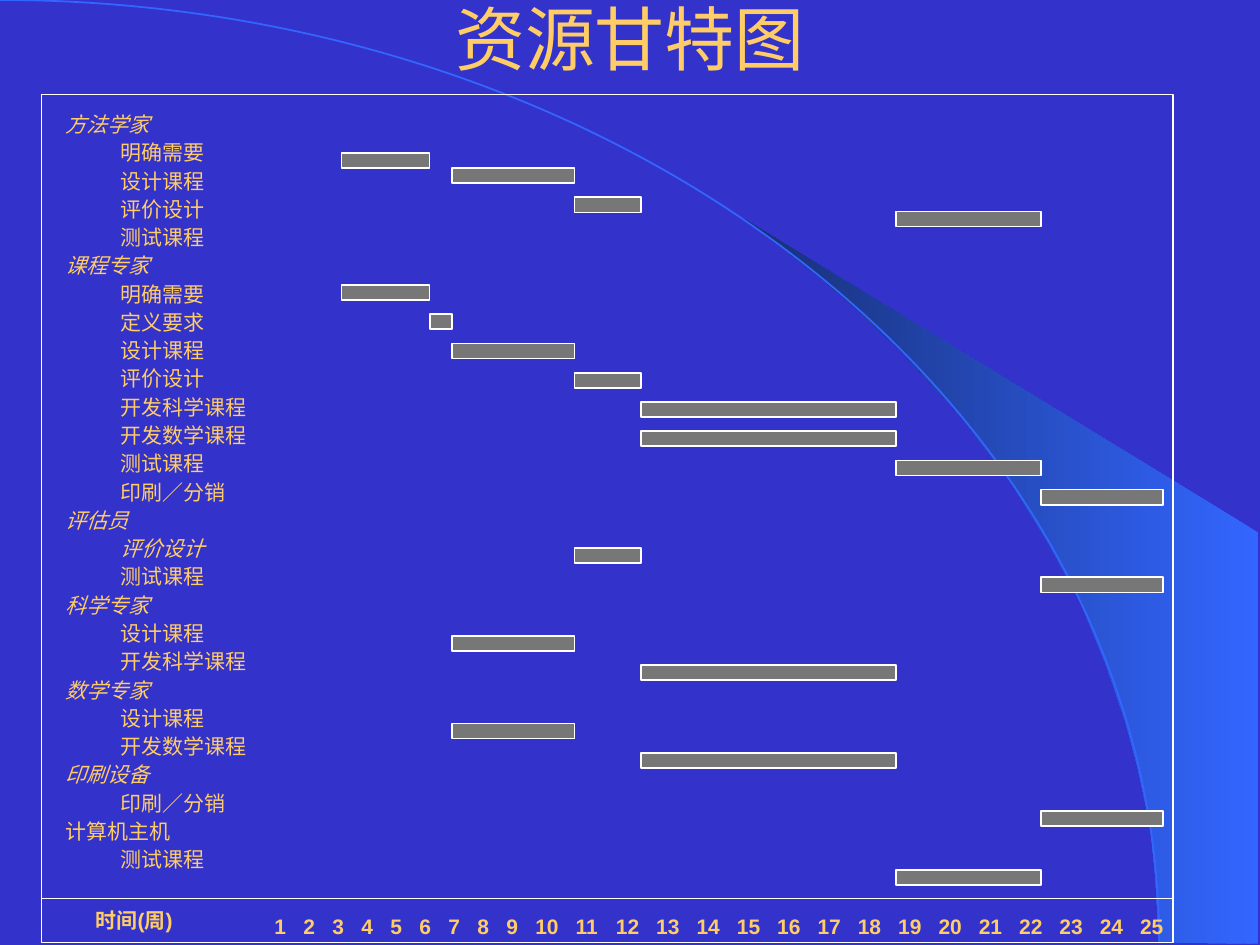
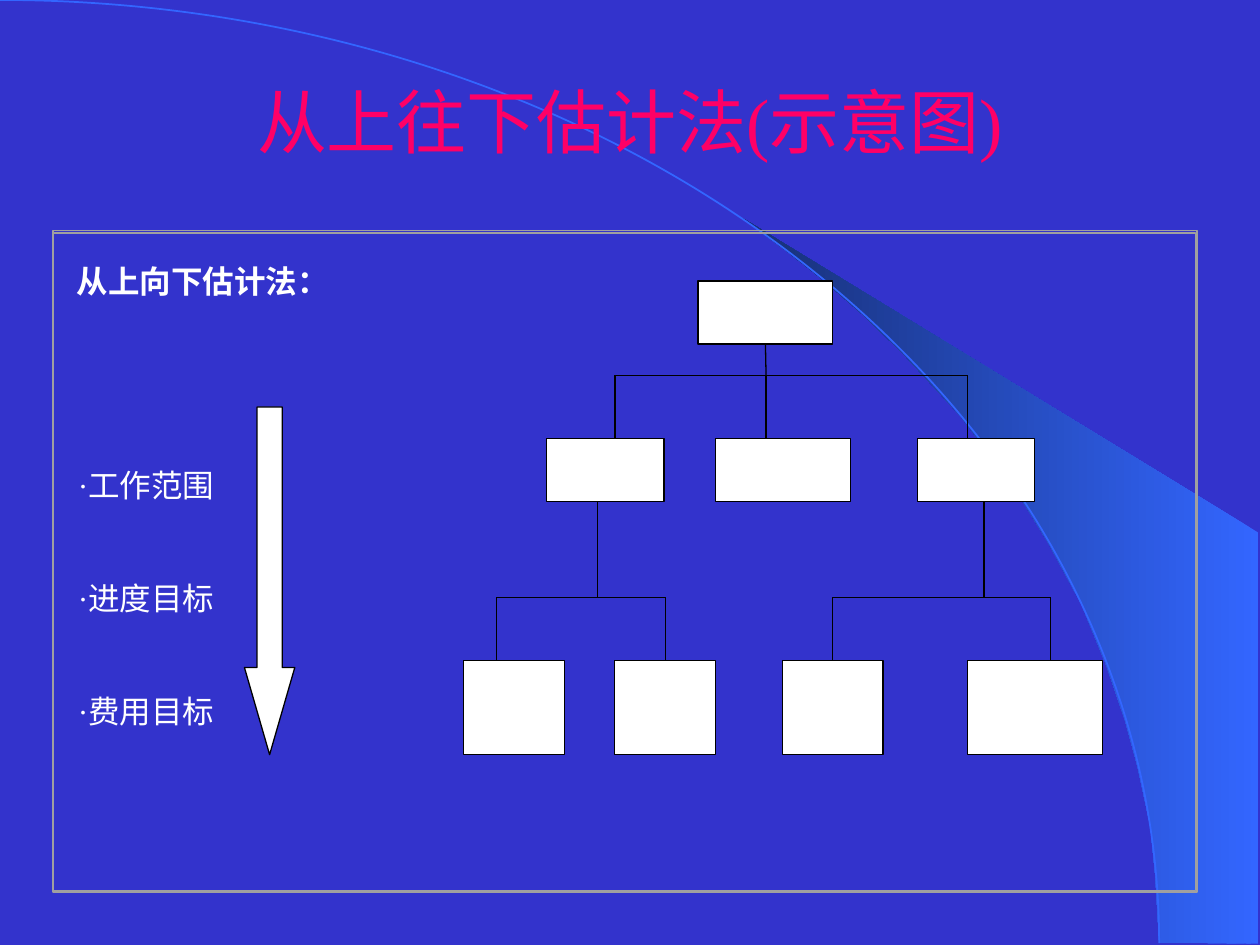
from lxml import etree
from pptx import Presentation
from pptx.dml.color import RGBColor
from pptx.enum.shapes import MSO_CONNECTOR, MSO_SHAPE
from pptx.enum.text import MSO_ANCHOR, PP_ALIGN
from pptx.oxml.ns import qn
from pptx.util import Inches, Pt

NAVY = RGBColor(0x33, 0x33, 0xCC)
BLUE = RGBColor(0x33, 0x66, 0xFF)
DARK_BLUE = RGBColor(0x17, 0x2F, 0x75)
GOLD = RGBColor(0xFF, 0xCC, 0x66)
PINK = RGBColor(0xFF, 0x00, 0x66)
WHITE = RGBColor(0xFF, 0xFF, 0xFF)
BLACK = RGBColor(0x00, 0x00, 0x00)
BAR_GRAY = RGBColor(0x77, 0x77, 0x77)
FRAME_GRAY = RGBColor(0xA0, 0xA0, 0xA0)

# Shared backdrop
FLARE = [(9.2, 7.48), (9.99, 7.49), (9.99, 4.23), (5.89, 1.73), (6.24, 1.99),
         (6.53, 2.22), (6.85, 2.5), (7.16, 2.8), (7.62, 3.3), (8.03, 3.84),
         (8.32, 4.31), (8.58, 4.79), (8.78, 5.28), (8.93, 5.72), (9.03, 6.09),
         (9.13, 6.56), (9.17, 6.96)]
ARC_BOX = (-9.2, 0, 18.4, 14.97)

# Gantt chart
GANTT_TITLE = "资源甘特图"
TIME_LABEL = "时间(周)"
WEEKS = range(1, 26)
RESOURCES = [
    ("方法学家", ["明确需要", "设计课程", "评价设计", "测试课程"]),
    ("课程专家", ["明确需要", "定义要求", "设计课程", "评价设计",
              "开发科学课程", "开发数学课程", "测试课程", "印刷／分销"]),
    ("评估员", ["评价设计", "测试课程"]),
    ("科学专家", ["设计课程", "开发科学课程"]),
    ("数学专家", ["设计课程", "开发数学课程"]),
    ("印刷设备", ["印刷／分销"]),
    ("计算机主机", ["测试课程"]),
]
UPRIGHT_RESOURCES = {"计算机主机"}
ITALIC_TASKS = {("评估员", "评价设计")}
TASK_SPANS = {  # left, width
    "明确需要": (2.71, 0.7), "定义要求": (3.41, 0.18), "设计课程": (3.59, 0.97),
    "评价设计": (4.56, 0.53), "开发科学课程": (5.09, 2.02), "开发数学课程": (5.09, 2.02),
    "测试课程": (7.11, 1.15), "印刷／分销": (8.26, 0.97),
}
LATE_SPANS = {("评估员", "测试课程"): TASK_SPANS["印刷／分销"]}
BAR_SHIFTS = {("方法学家", "明确需要"): 0.11, ("方法学家", "测试课程"): -0.12}
FIRST_BAR_TOP, BAR_PITCH, BAR_HEIGHT = 0.87, 0.232, 0.12
DIGIT_PITCH, TWO_DIGIT_PITCH = 0.23, 0.32
GANTT_FRAME = (0.33, 0.75, 8.98, 6.73)
AXIS_TOP = 7.13

# Top-down estimate
ESTIMATE_TITLE = "从上往下估计法(示意图)"
ESTIMATE_HEADING = "从上向下估计法："
GOALS = ["·工作范围", "·进度目标", "·费用目标"]
ESTIMATE_FRAMES = [((0.42, 1.85, 9.07, 5.22), 0), ((0.42, 1.83, 9.08, 5.25), 0.75)]
ARROW_BOX = (1.94, 3.23, 0.4, 2.76)
TREE_BOXES = {
    "root": (5.54, 2.23, 1.07, 0.5),
    "left": (4.34, 3.48, 0.93, 0.5),
    "middle": (5.68, 3.48, 1.07, 0.5),
    "right": (7.28, 3.48, 0.93, 0.5),
    "left 1": (3.68, 5.24, 0.8, 0.75),
    "left 2": (4.88, 5.24, 0.8, 0.75),
    "right 1": (6.21, 5.24, 0.8, 0.75),
    "right 2": (7.68, 5.24, 1.07, 0.75),
}
TREE_BRANCHES = [  # parent, stem x, crossbar y, {child: drop x}
    ("root", 6.08, 2.98, {"left": 4.88, "middle": 6.08, "right": 7.68}),
    ("left", 4.74, 4.74, {"left 1": 3.94, "left 2": 5.28}),
    ("right", 7.81, 4.74, {"right 1": 6.61, "right 2": 8.34}),
]


def inches(values):
    return [Inches(value) for value in values]


def add_box(slide, box, fill=None, line=None, width=1.0, kind=MSO_SHAPE.RECTANGLE):
    shape = slide.shapes.add_shape(kind, *inches(box))
    shape.shadow.inherit = False
    if fill is None:
        shape.fill.background()
    else:
        shape.fill.solid()
        shape.fill.fore_color.rgb = fill
    shape.line.color.rgb = line
    shape.line.width = Pt(width)
    return shape


def add_line(slide, start, end, color, width):
    line = slide.shapes.add_connector(MSO_CONNECTOR.STRAIGHT, *inches(start + end))
    line.line.color.rgb = color
    line.line.width = Pt(width)
    properties = line._element.find(qn("p:spPr"))
    etree.SubElement(properties, qn("a:effectLst"))
    return line


def add_text(slide, box, lines, font, anchor=MSO_ANCHOR.TOP, paragraph_format=None,
             space_before=0, margin_top=0.05):
    """Add one paragraph for each line and return the paragraphs."""
    frame = slide.shapes.add_textbox(*inches(box)).text_frame
    frame.word_wrap = True
    frame.vertical_anchor = anchor
    frame.margin_top = Inches(margin_top)
    for index, text in enumerate(lines):
        paragraph = frame.add_paragraph() if index else frame.paragraphs[0]
        run = paragraph.add_run()
        run.text = text
        if index:
            paragraph.space_before = Pt(space_before)
        for name, value in (paragraph_format or {}).items():
            setattr(paragraph, name, value)
        for name, value in font.items():
            if name == "color":
                run.font.color.rgb = value
            else:
                setattr(run.font, name, value)
    return frame.paragraphs


def add_tab_stops(paragraph, positions):
    tab_list = etree.SubElement(paragraph._p.get_or_add_pPr(), qn("a:tabLst"))
    for position in positions:
        etree.SubElement(tab_list, qn("a:tab"), pos=str(Inches(position)), algn="l")


def add_backdrop(slide):
    points = [tuple(inches(point)) for point in FLARE]
    builder = slide.shapes.build_freeform(*points[0], scale=1.0)
    builder.add_line_segments(points[1:], close=True)
    flare = builder.convert_to_shape()
    flare.shadow.inherit = False
    flare.line.fill.background()
    flare.fill.gradient()
    flare.fill.gradient_angle = 180
    for stop, position, color in zip(flare.fill.gradient_stops, (0, 1), (BLUE, DARK_BLUE)):
        stop.position = position
        stop.color.rgb = color
    add_box(slide, ARC_BOX, line=BLUE, kind=MSO_SHAPE.ARC)


def add_slide(presentation, title, title_top, font_name, color):
    slide = presentation.slides.add_slide(presentation.slide_layouts[6])
    add_backdrop(slide)
    add_text(slide, (0.75, title_top, 8.5, 1.25), [title],
             {"size": Pt(40), "name": font_name, "color": color},
             MSO_ANCHOR.MIDDLE, {"alignment": PP_ALIGN.CENTER})
    return slide


def add_resource_list(slide, font):
    rows = []
    for resource, tasks in RESOURCES:
        rows.append((resource, 0, resource not in UPRIGHT_RESOURCES))
        rows += [(task, 0.44, (resource, task) in ITALIC_TASKS) for task in tasks]
    paragraphs = add_text(slide, (0.42, 0.9, 2.29, 6.06), [row[0] for row in rows], font,
                          MSO_ANCHOR.BOTTOM, {"line_spacing": 0.6}, space_before=7.5)
    for paragraph, (_, indent, italic) in zip(paragraphs, rows):
        paragraph._p.get_or_add_pPr().set("marL", str(Inches(indent)))
        paragraph.runs[0].font.italic = italic


def add_task_bars(slide):
    row = 0
    for resource, tasks in RESOURCES:
        for task in tasks:
            row += 1
            key = (resource, task)
            left, width = LATE_SPANS.get(key, TASK_SPANS[task])
            top = FIRST_BAR_TOP + row * BAR_PITCH + BAR_SHIFTS.get(key, 0)
            add_box(slide, (left, top, width, BAR_HEIGHT), BAR_GRAY, WHITE)
        row += 1


def add_time_axis(slide, font):
    bold = {**font, "bold": True}
    left, _, width, _ = GANTT_FRAME
    add_line(slide, (left, AXIS_TOP), (left + width, AXIS_TOP), WHITE, 1)
    add_text(slide, (0.58, 7.15, 0.97, 0.3), [TIME_LABEL], bold,
             MSO_ANCHOR.BOTTOM, {"alignment": PP_ALIGN.CENTER})
    weeks, = add_text(slide, (2.08, 7.2, 7.58, 0.3), ["\t".join(map(str, WEEKS))],
                      bold, MSO_ANCHOR.BOTTOM)
    add_tab_stops(weeks, [min(week - 1, 9) * DIGIT_PITCH
                          + max(week - 10, 0) * TWO_DIGIT_PITCH for week in WEEKS[1:]])


def build_gantt(presentation):
    slide = add_slide(presentation, GANTT_TITLE, -0.33, "Arial", GOLD)
    font = {"size": Pt(12), "name": "Arial", "color": GOLD}
    add_resource_list(slide, font)
    add_box(slide, GANTT_FRAME, line=WHITE)
    add_time_axis(slide, font)
    add_task_bars(slide)


def is_middle(box, x):
    return abs(box[0] + box[2] / 2 - x) < 0.02


def add_tree(slide):
    shapes = {name: add_box(slide, box, WHITE, BLACK, 0.75)
              for name, box in TREE_BOXES.items()}
    for parent, stem_x, bar_y, drops in TREE_BRANCHES:
        parent_box = TREE_BOXES[parent]
        stem = add_line(slide, (stem_x, parent_box[1] + parent_box[3]),
                        (stem_x, bar_y), BLACK, 0.75)
        if is_middle(parent_box, stem_x):
            stem.begin_connect(shapes[parent], 2)
        add_line(slide, (min(drops.values()), bar_y), (max(drops.values()), bar_y),
                 BLACK, 0.75)
        for child, x in drops.items():
            drop = add_line(slide, (x, bar_y), (x, TREE_BOXES[child][1]), BLACK, 0.75)
            if is_middle(TREE_BOXES[child], x):
                drop.end_connect(shapes[child], 0)


def build_estimate(presentation):
    slide = add_slide(presentation, ESTIMATE_TITLE, 0.33, "Times New Roman", PINK)
    arrow = add_box(slide, ARROW_BOX, WHITE, BLACK, 0.75, MSO_SHAPE.DOWN_ARROW)
    arrow.adjustments[0] = 0.5
    arrow.adjustments[1] = 1.73
    add_tree(slide)
    font = {"size": Pt(18), "name": "Times New Roman", "color": WHITE}
    justified = {"alignment": PP_ALIGN.JUSTIFY}
    add_text(slide, (0.51, 2.03, 7.59, 0.4), [ESTIMATE_HEADING], {**font, "bold": True},
             paragraph_format=justified)
    add_text(slide, (0.52, 1.85, 8.87, 5.22), GOALS, font, paragraph_format=justified,
             space_before=43, margin_top=1.85)
    for box, width in ESTIMATE_FRAMES:
        add_box(slide, box, line=FRAME_GRAY, width=width)


def main():
    presentation = Presentation()
    presentation.slide_width = Inches(10)
    presentation.slide_height = Inches(7.5)
    background = presentation.slide_master.background.fill
    background.solid()
    background.fore_color.rgb = NAVY
    build_gantt(presentation)
    build_estimate(presentation)
    presentation.save("out.pptx")


if __name__ == "__main__":
    main()
